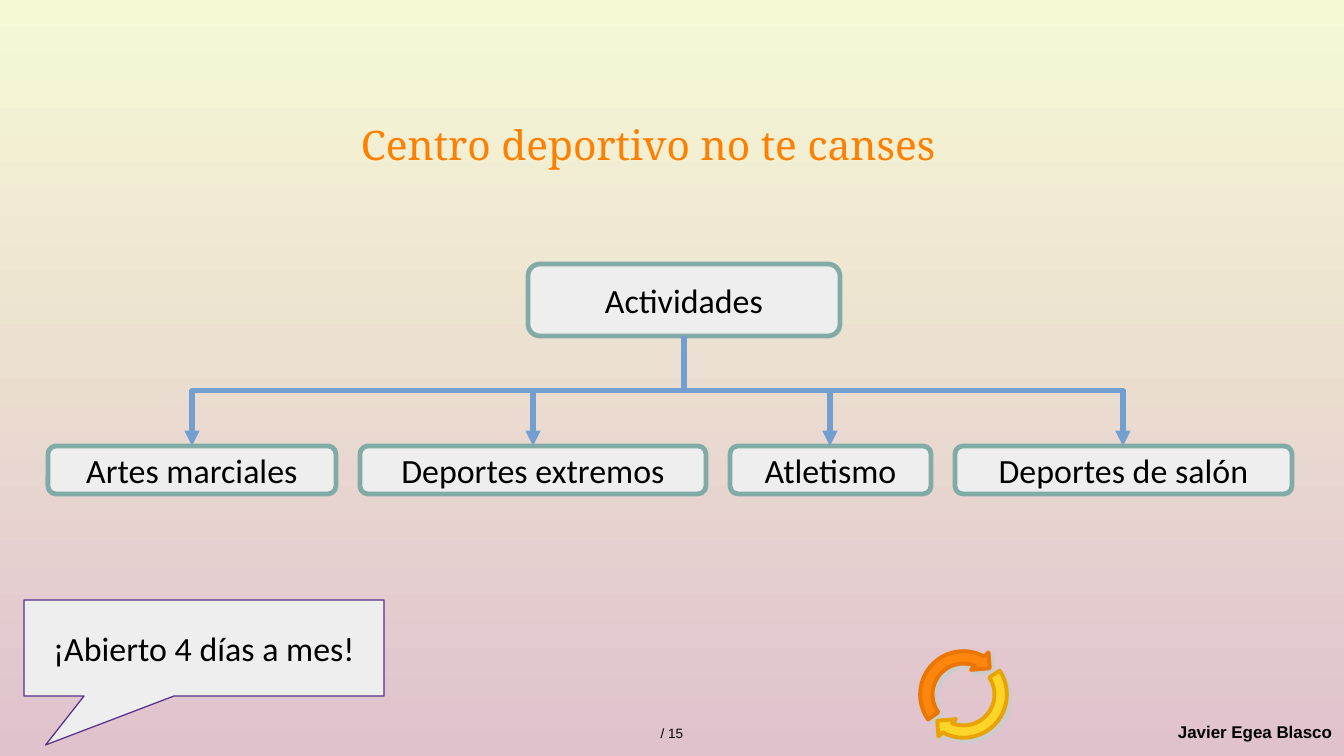
from dataclasses import dataclass

from lxml import etree
from pptx import Presentation
from pptx import util as u
from pptx.dml.color import RGBColor
from pptx.enum import shapes, text
from pptx.oxml import ns

EMU_PER_PX = 7495
INK = RGBColor(0x00, 0x00, 0x00)
PANEL = RGBColor(0xEE, 0xEE, 0xEE)
SAGE = RGBColor(0x81, 0xAC, 0xA6)
BLUE = RGBColor(0x72, 0x9F, 0xCF)
VIOLET = RGBColor(0x55, 0x30, 0x8D)
TITLE_ORANGE = RGBColor(0xFF, 0x80, 0x00)
ARROW_ORANGE = RGBColor(0xFF, 0x86, 0x0D)
ARROW_ORANGE_EDGE = RGBColor(0xEA, 0x75, 0x00)
ARROW_YELLOW = RGBColor(0xFF, 0xD4, 0x28)
ARROW_YELLOW_EDGE = RGBColor(0xE8, 0xA2, 0x02)
SHADE = RGBColor(0xCC, 0xCC, 0xCC)
SKY = RGBColor(0xF6, 0xF9, 0xD4)
ROSE = RGBColor(0xE0, 0xC2, 0xCD)


@dataclass(frozen=True)
class Box:
    left: int
    top: int
    width: int
    height: int

    @property
    def center_x(self) -> int:
        return self.left + self.width // 2

    @property
    def bottom(self) -> int:
        return self.top + self.height


@dataclass(frozen=True)
class Label:
    words: str
    box: Box
    size: int
    font: str
    color: RGBColor = INK
    bold: bool = False
    align: text.PP_ALIGN = text.PP_ALIGN.CENTER


@dataclass(frozen=True)
class CycleArrow:
    fill: RGBColor
    edge: RGBColor
    rotation: float
    start: float


def px(length: float) -> int:
    return u.Emu(round(length * EMU_PER_PX))


def frame(box: Box) -> tuple[int, ...]:
    return px(box.left), px(box.top), px(box.width), px(box.height)


def write(shape, label: Label) -> None:
    body = shape.text_frame
    body.vertical_anchor = text.MSO_ANCHOR.MIDDLE
    paragraph = body.paragraphs[0]
    paragraph.text = label.words
    paragraph.alignment = label.align
    paragraph.font.size = u.Pt(label.size)
    paragraph.font.name = label.font
    paragraph.font.bold = label.bold
    paragraph.font.color.rgb = label.color


def add_label(slide, label: Label) -> None:
    textbox = slide.shapes.add_textbox(*frame(label.box))
    textbox.text_frame.word_wrap = False
    write(textbox, label)


def add_figure(slide, preset, box: Box, fill: RGBColor, edge: RGBColor, weight: float):
    figure = slide.shapes.add_shape(preset, *frame(box))
    figure.shadow.inherit = False
    figure.fill.solid()
    figure.fill.fore_color.rgb = fill
    figure.line.color.rgb = edge
    figure.line.width = u.Pt(weight)
    return figure


def add_activity(slide, label: Label) -> None:
    preset = shapes.MSO_SHAPE.ROUNDED_RECTANGLE
    write(add_figure(slide, preset, label.box, PANEL, SAGE, 2.83), label)


def add_branch(slide, parent: Box, child: Box) -> None:
    drop = child.top - parent.bottom
    shift = child.center_x - parent.center_x
    middle_x = (parent.center_x + child.center_x) / 2
    middle_y = (parent.bottom + child.top) / 2
    half_drop = drop / 2 if shift < 0 else -drop / 2
    half_span = abs(shift) / 2
    branch = slide.shapes.add_connector(
        shapes.MSO_CONNECTOR.ELBOW,
        px(middle_x - half_drop), px(middle_y - half_span),
        px(middle_x + half_drop), px(middle_y + half_span),
    )
    branch.line.color.rgb = BLUE
    branch.line.width = u.Pt(3)
    properties = branch.element.spPr
    quarter_turns = 1 if shift < 0 else 3
    properties.find(ns.qn("a:xfrm")).set("rot", str(quarter_turns * 90 * 60000))
    etree.SubElement(properties.find(ns.qn("a:ln")), ns.qn("a:tailEnd"), type="triangle")
    etree.SubElement(properties, ns.qn("a:effectLst"))


def add_cycle_arrow(slide, arrow: CycleArrow, box: Box) -> None:
    preset = shapes.MSO_SHAPE.CIRCULAR_ARROW
    figure = add_figure(slide, preset, box, arrow.fill, arrow.edge, 2.3)
    figure.rotation = arrow.rotation
    for index, value in enumerate((0.125, 11.42, 204.58, arrow.start, 0.125)):
        figure.adjustments[index] = value
    effects = figure.element.spPr.find(ns.qn("a:effectLst"))
    shadow = etree.SubElement(
        effects, ns.qn("a:outerShdw"), dist=str(u.Pt(2.8)), dir=str(45 * 60000), rotWithShape="0"
    )
    etree.SubElement(shadow, ns.qn("a:srgbClr"), val=str(SHADE))


TITLE = Label("Centro deportivo no te canses", Box(48, 48, 1200, 192), 24, "Noto Serif", TITLE_ORANGE)
NOTICE = Label("¡Abierto 4 días a mes!", Box(24, 600, 360, 96), 20, "Calibri")
ROOT = Label("Actividades", Box(528, 264, 312, 72), 20, "Calibri")
AUTHOR = Label("Javier Egea Blasco", Box(1166, 709, 178, 45), 10, "Arial", bold=True, align=text.PP_ALIGN.LEFT)
PAGE_COUNT = Label("/ 15", Box(597, 711, 150, 45), 8, "Arial")
ACTIVITIES = (
    ("Artes marciales", 288),
    ("Deportes extremos", 346),
    ("Atletismo", 201),
    ("Deportes de salón", 337),
)
ACTIVITY_LEFT, ACTIVITY_TOP, ACTIVITY_HEIGHT, ACTIVITY_GAP = 48, 446, 48, 24
CYCLE = Box(914, 645, 99, 99)
CYCLE_ARROWS = (
    CycleArrow(ARROW_ORANGE, ARROW_ORANGE_EDGE, 315.1, 113.73),
    CycleArrow(ARROW_YELLOW, ARROW_YELLOW_EDGE, 135.1, 114.87),
)


def main() -> None:
    deck = Presentation()
    deck.slide_width, deck.slide_height = px(1344), px(756)
    slide = deck.slides.add_slide(deck.slide_layouts[6])

    backdrop = slide.background.fill
    backdrop.gradient()
    backdrop.gradient_angle = 270
    for stop, color in zip(backdrop.gradient_stops, (SKY, ROSE)):
        stop.color.rgb = color

    add_label(slide, TITLE)
    callout = add_figure(
        slide, shapes.MSO_SHAPE.RECTANGULAR_CALLOUT, NOTICE.box, PANEL, VIOLET, 0
    )
    callout.adjustments[0], callout.adjustments[1] = -0.44, 1.01
    write(callout, NOTICE)

    add_activity(slide, ROOT)
    children = []
    left = ACTIVITY_LEFT
    for name, width in ACTIVITIES:
        box = Box(left, ACTIVITY_TOP, width, ACTIVITY_HEIGHT)
        add_activity(slide, Label(name, box, 20, "Calibri"))
        children.append(box)
        left += width + ACTIVITY_GAP
    for child in children:
        add_branch(slide, ROOT.box, child)

    add_label(slide, AUTHOR)
    add_label(slide, PAGE_COUNT)
    for arrow in CYCLE_ARROWS:
        add_cycle_arrow(slide, arrow, CYCLE)

    deck.save("out.pptx")


if __name__ == "__main__":
    main()
